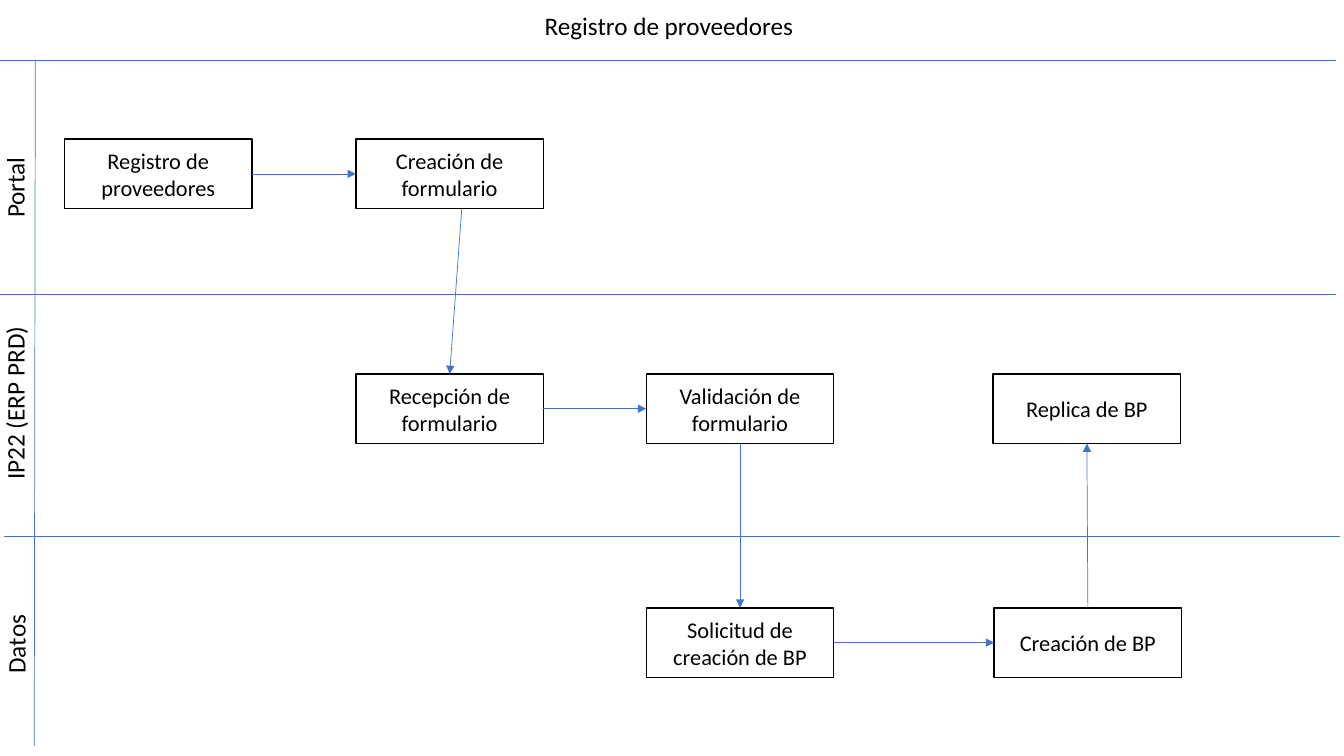
from lxml.etree import SubElement
from pptx import Presentation
from pptx.dml.color import RGBColor
from pptx.enum.shapes import MSO_CONNECTOR, MSO_SHAPE
from pptx.enum.text import MSO_ANCHOR, PP_ALIGN
from pptx.oxml.ns import qn
from pptx.util import Inches, Pt

BLUE = RGBColor(0x44, 0x72, 0xC4)
BLACK = RGBColor(0, 0, 0)
STEP_W, STEP_H = 1.86, 0.69
LABEL_W, LABEL_H = 2.13, 0.4
TOP, LEFT, BOTTOM, RIGHT = range(4)  # connection sites of a rectangle

prs = Presentation()
prs.slide_width, prs.slide_height = Inches(13.33), Inches(7.5)
slide = prs.slides.add_slide(prs.slide_layouts[6])


def write(shape, text, *, size=18, anchor=MSO_ANCHOR.TOP):
    frame = shape.text_frame
    frame.word_wrap = True
    frame.vertical_anchor = anchor
    paragraph = frame.paragraphs[0]
    paragraph.alignment = PP_ALIGN.CENTER
    run = paragraph.add_run()
    run.text = text
    run.font.name = "Calibri"
    run.font.size = Pt(size)
    run.font.color.rgb = BLACK


def add_line(x1, y1, x2, y2, *, arrow=False):
    line = slide.shapes.add_connector(
        MSO_CONNECTOR.STRAIGHT, Inches(x1), Inches(y1), Inches(x2), Inches(y2))
    line.line.color.rgb = BLUE
    line.line.width = Pt(0.5)
    properties = line._element.spPr
    if arrow:
        SubElement(properties.find(qn("a:ln")), qn("a:tailEnd"), type="triangle")
    SubElement(properties, qn("a:effectLst"))
    return line


# Title
title = slide.shapes.add_textbox(Inches(-0.04), Inches(0.05), Inches(13.35), Inches(0.4))
write(title, "Registro de proveedores")

# Lane borders
for left, y in [(0, 0.6), (0, 2.92), (0.04, 5.32)]:
    add_line(left, y, left + 13.25, y)
add_line(0.35, 0.6, 0.34, 7.4)

# Lane names
for lane, left, top in [("Portal", -0.92, 1.66), ("IP22 (ERP PRD)", -0.92, 3.8),
                        ("Datos", -0.91, 6.19)]:
    lane_name = slide.shapes.add_textbox(
        Inches(left), Inches(top), Inches(LABEL_W), Inches(LABEL_H))
    lane_name.rotation = 270
    write(lane_name, lane)

# Process steps
PORTAL_Y, ERP_Y, DATOS_Y = 1.38, 3.71, 6.03
steps = {}
for key, text, left, top in [
    ("registro", "Registro de proveedores", 0.64, PORTAL_Y),
    ("creacion", "Creación de formulario", 3.53, PORTAL_Y),
    ("recepcion", "Recepción de formulario", 3.53, ERP_Y),
    ("validacion", "Validación de formulario", 6.41, ERP_Y),
    ("solicitud", "Solicitud de creación de BP", 6.41, DATOS_Y),
    ("creacion_bp", "Creación de BP", 9.86, DATOS_Y),
    ("replica_bp", "Replica de BP", 9.85, ERP_Y),
]:
    step = slide.shapes.add_shape(
        MSO_SHAPE.RECTANGLE, Inches(left), Inches(top), Inches(STEP_W), Inches(STEP_H))
    step.shadow.inherit = False
    step.fill.background()
    step.line.color.rgb = BLACK
    step.line.width = Pt(1)
    write(step, text, size=16, anchor=MSO_ANCHOR.MIDDLE)
    steps[key] = step

# Flow between steps
for source, source_side, target, target_side in [
    ("registro", RIGHT, "creacion", LEFT),
    ("recepcion", RIGHT, "validacion", LEFT),
    ("validacion", BOTTOM, "solicitud", TOP),
    ("solicitud", RIGHT, "creacion_bp", LEFT),
    ("creacion_bp", TOP, "replica_bp", BOTTOM),
]:
    flow = add_line(0, 0, 0, 0, arrow=True)
    flow.begin_connect(steps[source], source_side)
    flow.end_connect(steps[target], target_side)

# Form handover, leaving right of the step's centre
handover = add_line(4.58, PORTAL_Y + STEP_H, 4.46, ERP_Y, arrow=True)
handover.end_connect(steps["recepcion"], TOP)

prs.save("out.pptx")
